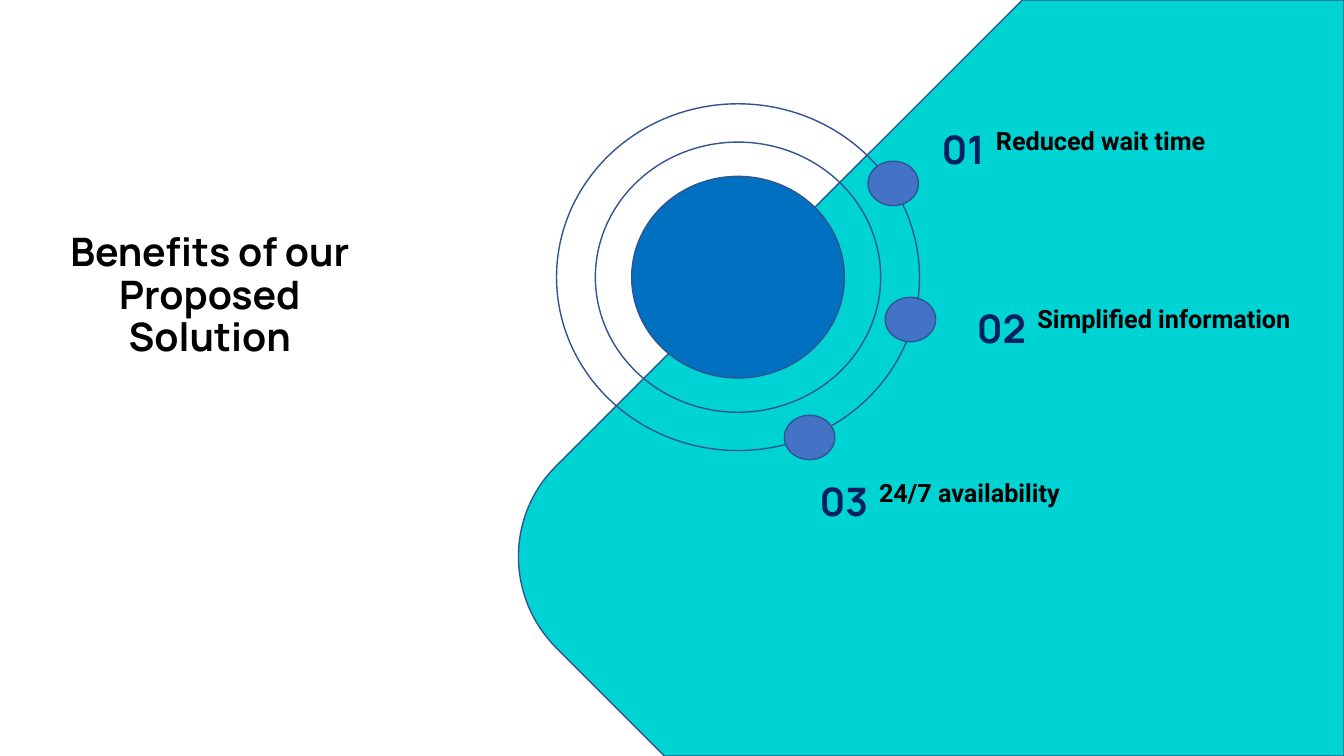
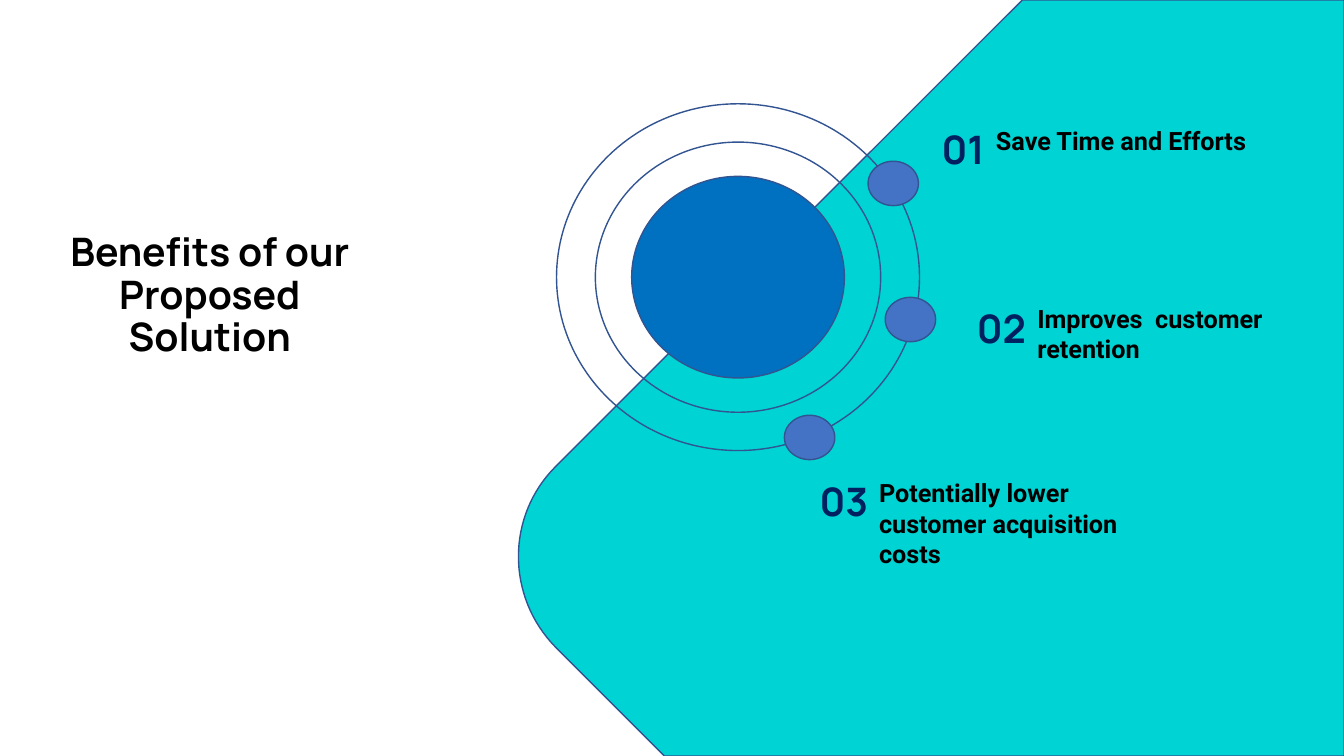
import pptx
import pptx.util
import pptx.dml.color
import pptx.enum.shapes
import pptx.enum.text

Inches = pptx.util.Inches
OVAL = pptx.enum.shapes.MSO_SHAPE.OVAL
ALIGN = pptx.enum.text.PP_ALIGN
ANCHOR = pptx.enum.text.MSO_ANCHOR
FIT = pptx.enum.text.MSO_AUTO_SIZE

TITLE = "Benefits of our Proposed Solution"
# Each benefit: wording, number of lines it wraps to
SLIDES = [
    [("Reduced wait time", 1),
     ("Simplified information", 1),
     ("24/7 availability", 1)],
    [("Save Time and Efforts", 1),
     ("Improves  customer retention", 2),
     ("Potentially lower customer acquisition costs", 3)],
]

THEME = {
    "panel": "00D3D3", "disc": "0070C0", "dot": "4472C4", "edge": "325491",
    "title": {"name": "Manrope", "size": 28, "bold": True, "color": "000000"},
    "number": {"name": "Manrope", "size": 28, "bold": True, "color": "002060"},
    "label": {"name": "Roboto", "size": 18, "bold": True, "color": "000000"},
}

HUB = (7.32, 2.75)
RINGS = [(2.11, 2, THEME["disc"]), (2.83, 2.68, None), (3.6, 3.44, None)]
DOT = (0.5, 0.44)
LINE = 0.305
# Each spot: dot centre, number corner, label corner, label width
SPOTS = [
    ((8.86, 1.82), (9.24, 1.19), (9.78, 1.19), 2.77),
    ((9.03, 3.17), (9.59, 2.97), (10.19, 2.96), 2.95),
    ((8.03, 4.34), (8.03, 4.69), (8.62, 4.69), 2.77),
]
EDGES = [(10.14, 0), (13.33, 0), (13.33, 7.5), (6.59, 7.5)]
BEND = [(5.51, 6.42), (5.02, 5.92), (5.02, 5.12), (5.51, 4.63)]


def rgb(code):
    return pptx.dml.color.RGBColor.from_string(code)


def curve(ends, steps=32):
    """Points along a cubic Bezier curve."""
    spots = []
    for step in range(steps + 1):
        t = step / steps
        parts = ((1 - t) ** 3, 3 * t * (1 - t) ** 2, 3 * t * t * (1 - t), t ** 3)
        spots.append(tuple(sum(part * end[axis] for part, end in zip(parts, ends))
                           for axis in (0, 1)))
    return spots


def paint(shape, fill):
    shape.shadow.inherit = False
    if fill:
        shape.fill.solid()
        shape.fill.fore_color.rgb = rgb(fill)
    else:
        shape.fill.background()
    shape.line.color.rgb = rgb(THEME["edge"])
    shape.line.width = pptx.util.Pt(1)


def oval(slide, mid, wide, high, fill):
    """Ellipse placed by its centre."""
    box = (mid[0] - wide / 2, mid[1] - high / 2, wide, high)
    paint(slide.shapes.add_shape(OVAL, *map(Inches, box)), fill)


def panel(slide):
    first, *rest = [tuple(map(Inches, spot)) for spot in EDGES + curve(BEND)]
    form = slide.shapes.build_freeform(*first)
    form.add_line_segments(rest, close=True)
    paint(form.convert_to_shape(), THEME["panel"])


def text(slide, words, box, style, frame, para=None):
    body = slide.shapes.add_textbox(*map(Inches, box)).text_frame
    line = body.paragraphs[0]
    run = line.add_run()
    run.text = words
    look = dict(THEME[style])
    run.font.color.rgb = rgb(look.pop("color"))
    look["size"] = pptx.util.Pt(look["size"])
    jobs = [(body, {"word_wrap": True, **frame}), (line, para or {}), (run.font, look)]
    for item, values in jobs:
        for key, value in values.items():
            setattr(item, key, value)


def build(deck, items):
    slide = deck.slides.add_slide(deck.slide_layouts[6])
    text(slide, TITLE, (0.37, 2.04, 3.42, 1.58), "title",
         {"vertical_anchor": ANCHOR.BOTTOM},
         {"alignment": ALIGN.CENTER, "line_spacing": 0.9})
    panel(slide)
    for wide, high, fill in RINGS:
        oval(slide, HUB, wide, high, fill)
    grow = {"auto_size": FIT.SHAPE_TO_FIT_TEXT}
    for index, ((words, lines), spot) in enumerate(zip(items, SPOTS), 1):
        _, number, label, wide = spot
        text(slide, f"{index:02}", (*number, 0.7, 0.57), "number", grow)
        text(slide, words, (*label, wide, 0.1 + LINE * lines), "label", grow)
    for mid, *_ in SPOTS:
        oval(slide, mid, *DOT, THEME["dot"])


def main():
    deck = pptx.Presentation()
    deck.slide_width, deck.slide_height = Inches(13.33), Inches(7.5)
    for items in SLIDES:
        build(deck, items)
    deck.save("out.pptx")


if __name__ == "__main__":
    main()
